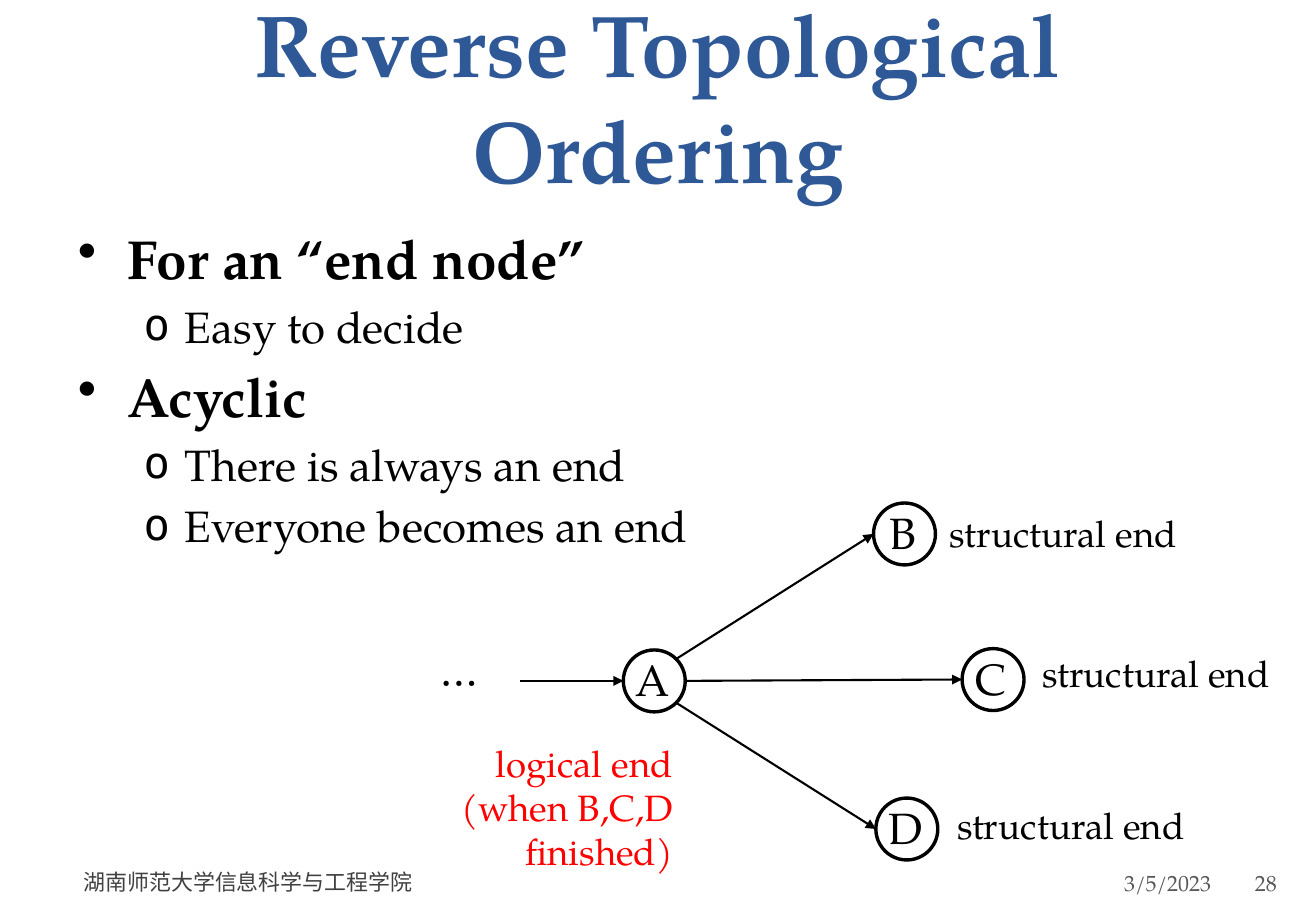
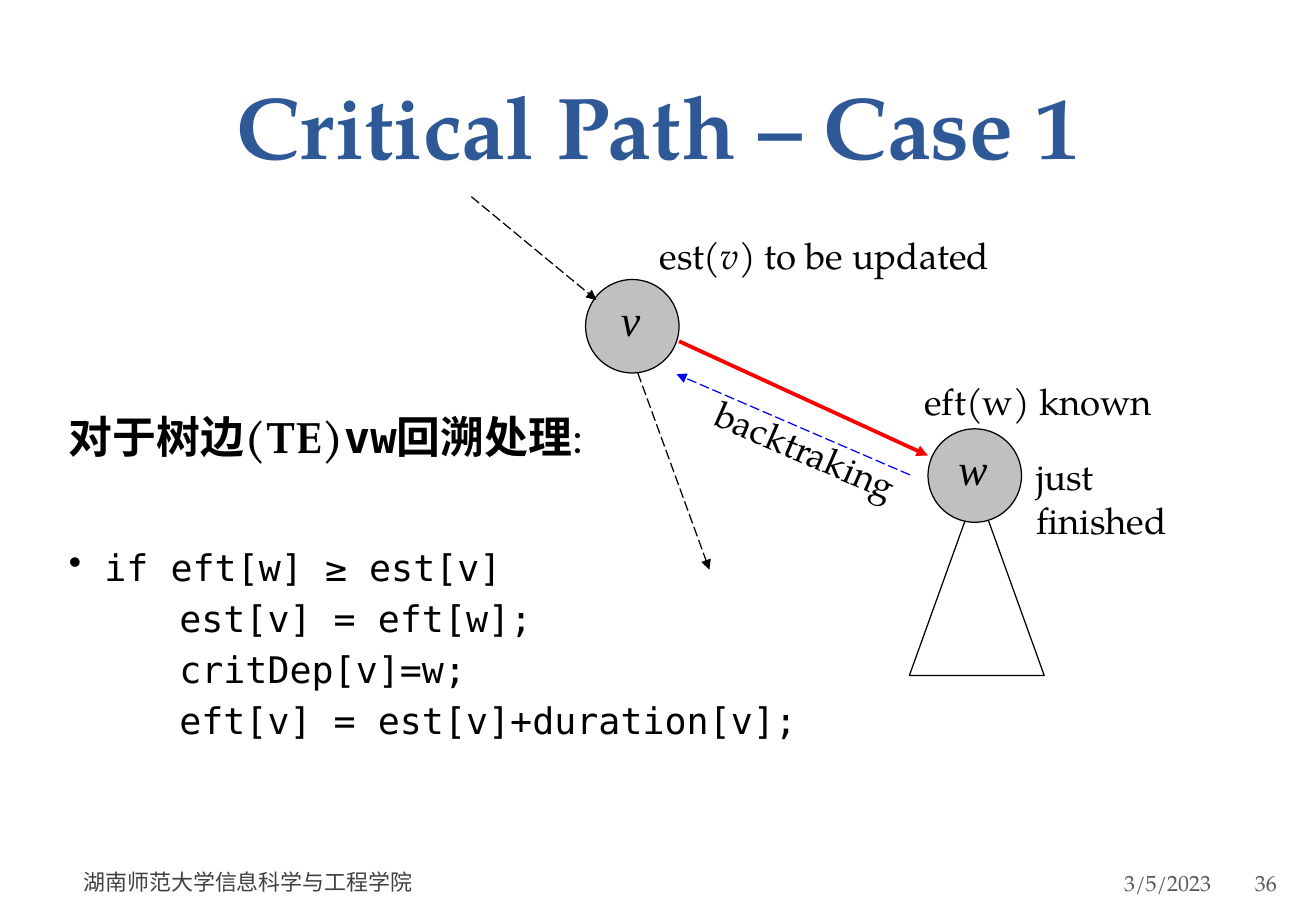
from lxml import etree
from pptx import Presentation
from pptx import util as u
from pptx.dml import color
from pptx.enum import dml, shapes, text
from pptx.oxml import ns

Pt = u.Pt
COLORS = dict(title="2F5897", ink="000000", red="FF0000", blue="0000FF",
              node="C0C0C0", school="404040", page="595959")
SERIF, MONO, MATH = "TeX Gyre Pagella", "DejaVu Sans Mono", "Times New Roman"
TITLE_SIZE, HEAD_SIZE, NODE_SIZE, LABEL_SIZE, FOOTER_SIZE = 52, 32.5, 26, 21.7, 13
LEFT, CENTER, RIGHT = text.PP_ALIGN.LEFT, text.PP_ALIGN.CENTER, text.PP_ALIGN.RIGHT
INSETS = (7.2, 3.6, 7.2, 3.6)

FOOTERS = [
    ((46.1, 508.3, 491, 28.8), "湖南师范大学信息科学与工程学院", "school", LEFT, (3.6, 3.6, 7.2, 3.6)),
    ((543.6, 509, 177.8, 28.8), "3/5/2023", "page", RIGHT, (7.2, 3.6, 3.6, 3.6)),
]
PAGE_BOX, PAGE_INSETS = (741.6, 509, 35.3, 28.8), (2.2, 3.6, 3.6, 3.6)

ORDERING_POINTS = [
    ("For an “end node”", ["Easy to decide"]),
    ("Acyclic", ["There is always an end", "Everyone becomes an end"]),
]
GRAPH_DIAMETER = 36.7
GRAPH_NODES = {"A": (387.8, 403.6), "B": (536.1, 316.5),
               "C": (588.6, 402.8), "D": (537.5, 491.4)}
GRAPH_EDGES = [("B", (1, -1)), ("C", (1, 0)), ("D", (1, 1))]
END_LABELS = [(555.8, 299.5), (610.6, 382.3), (560.2, 472.3)]

TREE_DIAMETER = 55.4
TREE_NODES = {"v": (374.8, 193.4), "w": (577.8, 281.9)}
TREE_ARROWS = [
    ((378, 221), (420.5, 337.7), "ink", 0.75, True),
    ((402.5, 202.3), (550, 270), "red", 2.25, False),
    ((279.4, 116.6), (353.5, 177.8), "ink", 0.75, True),
    ((539.3, 281.5), (401, 221.8), "blue", 0.75, True),
]
TREE_LABELS = [
    ((607, 265.7, 116.6, 59.8), [("just finished", {})], 0),
    ((540.7, 221, 160, 33.8), [("eft(w) known", {})], 0),
    ((383.8, 134.6, 215, 33.8),
     [("est(", {}), ("v", dict(italic=True)), (") to be updated", {})], 0),
    ((412.6, 254.9, 153.4, 33.8), [("backtraking", {})], 23.7),
]
CODE_HEADING = [("对于树边(TE)", dict(bold=True)), ("vw", dict(bold=True, name=MONO)),
                ("回溯处理", dict(bold=True)), (":", {})]
CODE_FIRST = "if eft[w] ≥ est[v]"
CODE_REST = ["     est[v] = eft[w];", "     critDep[v]=w;",
             "     eft[v] = est[v]+duration[v];"]


def rgb(key):
    return color.RGBColor.from_string(COLORS[key])


def line(spans, size=LABEL_SIZE, **options):
    if isinstance(spans, str):
        spans = [(spans, {})]
    return dict(spans=spans, size=size, **options)


def write_paragraph(para, spans, size, name=SERIF, ink="ink", bold=None, italic=None,
                    align=LEFT, before=0, indent=None, hang=0, bullet=None, level=0,
                    spacing=None):
    para.level = level
    para.alignment = align
    para.space_before = Pt(before)
    if spacing:
        para.line_spacing = Pt(spacing)
    props = para._p.get_or_add_pPr()
    if indent is not None:
        props.set("marL", str(Pt(indent)))
        props.set("indent", str(-Pt(hang)))
    if bullet:
        if bullet == "o":
            etree.SubElement(props, ns.qn("a:buFont"), typeface=MONO)
        etree.SubElement(props, ns.qn("a:buChar"), char=bullet)
    font = para.font
    font.size, font.name, font.bold, font.italic = Pt(size), name, bold, italic
    font.color.rgb = rgb(ink)
    for words, changes in spans:
        span = para.add_run()
        span.text = words
        for key, value in changes.items():
            setattr(span.font, key, value)


def write(shape, lines, anchor=text.MSO_ANCHOR.TOP, insets=INSETS, wrap=True):
    frame = shape.text_frame
    frame.word_wrap = wrap
    frame.auto_size = text.MSO_AUTO_SIZE.NONE
    frame.vertical_anchor = anchor
    frame.margin_left, frame.margin_top, frame.margin_right, frame.margin_bottom = map(Pt, insets)
    for index, options in enumerate(lines):
        para = frame.add_paragraph() if index else frame.paragraphs[0]
        write_paragraph(para, **options)


def add_text(page, area, lines, **options):
    box = page.shapes.add_textbox(*map(Pt, area))
    write(box, lines, **options)
    return box


def add_outline(page, kind, area, width, fill=None):
    shape = page.shapes.add_shape(kind, *map(Pt, area))
    shape.shadow.inherit = False
    if fill:
        shape.fill.solid()
        shape.fill.fore_color.rgb = rgb(fill)
    else:
        shape.fill.background()
    shape.line.color.rgb = rgb("ink")
    shape.line.width = Pt(width)
    return shape


def add_node(page, label, middle, diameter, width, lift, fill=None, **font):
    x, y = middle
    area = (x - diameter / 2, y - diameter / 2, diameter, diameter)
    node = add_outline(page, shapes.MSO_SHAPE.OVAL, area, width, fill)
    write(node, [line(label, NODE_SIZE, align=CENTER, **font)],
          anchor=text.MSO_ANCHOR.MIDDLE, insets=(0, 0, 2, lift), wrap=False)


def add_arrow(page, start, end, ink="ink", width=1.25, dashed=False):
    arrow = page.shapes.add_connector(shapes.MSO_CONNECTOR.STRAIGHT, *map(Pt, start + end))
    arrow.line.color.rgb = rgb(ink)
    arrow.line.width = Pt(width)
    if dashed:
        arrow.line.dash_style = dml.MSO_LINE.LONG_DASH
    etree.SubElement(arrow.line._get_or_add_ln(), ns.qn("a:tailEnd"), type="triangle")
    etree.SubElement(arrow._element.spPr, ns.qn("a:effectLst"))


def rim(name, direction):
    x, y = GRAPH_NODES[name]
    dx, dy = direction
    scale = GRAPH_DIAMETER / 2 / (dx * dx + dy * dy) ** 0.5
    return x + dx * scale, y + dy * scale


def add_page(deck, title, area, number):
    page = deck.slides.add_slide(deck.slide_layouts[5])
    heading = page.shapes.title
    heading.left, heading.top, heading.width, heading.height = map(Pt, area)
    write(heading, [line(title, TITLE_SIZE, ink="title", bold=True, align=CENTER, spacing=62.8)],
          anchor=text.MSO_ANCHOR.BOTTOM)
    for place, words, ink, align, insets in FOOTERS + [(PAGE_BOX, number, "page", LEFT, PAGE_INSETS)]:
        add_text(page, place, [line(words, FOOTER_SIZE, ink=ink, align=align)],
                 anchor=text.MSO_ANCHOR.MIDDLE, insets=insets)
    return page


def build_ordering(deck):
    page = add_page(deck, "Reverse Topological Ordering", (39, 33, 702, 90), "28")
    lines = []
    for head, details in ORDERING_POINTS:
        lines.append(line(head, HEAD_SIZE, bold=True, indent=29.25, hang=29.25, bullet="•",
                          before=6.5 if lines else 0))
        lines += [line(detail, NODE_SIZE, level=1, indent=63.4, hang=24.4, bullet="o", before=5.2)
                  for detail in details]
    add_text(page, (39, 129.6, 702, 220), lines)
    for name, middle in GRAPH_NODES.items():
        add_node(page, name, middle, GRAPH_DIAMETER, 2, 2)
    for target, direction in GRAPH_EDGES:
        add_arrow(page, rim("A", direction), rim(target, (-1, 0)))
    add_arrow(page, (308.2, 403.6), rim("A", (-1, 0)))
    add_text(page, (254.2, 377.3, 41, 38.9), [line("…", NODE_SIZE)])
    for left, top in END_LABELS:
        add_text(page, (left, top, 155, 33.8), [line("structural end")])
    add_text(page, (219, 435.6, 187, 85),
             [line(words, ink="red", align=RIGHT)
              for words in ("logical end", "(when B,C,D finished)")])


def build_critical_path(deck):
    page = add_page(deck, "Critical Path – Case 1", (39, 26, 702, 82.8), "36")
    add_outline(page, shapes.MSO_SHAPE.ISOSCELES_TRIANGLE, (539, 289.4, 79.9, 111), 0.75)
    for name, middle in TREE_NODES.items():
        add_node(page, name, middle, TREE_DIAMETER, 0.75, 9, "node", name=MATH, italic=True)
    for arrow in TREE_ARROWS:
        add_arrow(page, *arrow)
    for area, spans, angle in TREE_LABELS:
        add_text(page, area, [line(spans)]).rotation = angle
    hanging = dict(indent=21, hang=21)
    lines = [line(CODE_HEADING, NODE_SIZE, **hanging),
             line(CODE_FIRST, name=MONO, bullet="•", before=49, **hanging)]
    lines += [line(code, name=MONO, before=4.3, indent=0) for code in CODE_REST]
    add_text(page, (33.8, 239, 455, 212.4), lines)


def main():
    deck = Presentation()
    deck.slide_width, deck.slide_height = Pt(780), Pt(540)
    build_ordering(deck)
    build_critical_path(deck)
    deck.save("out.pptx")


if __name__ == "__main__":
    main()
